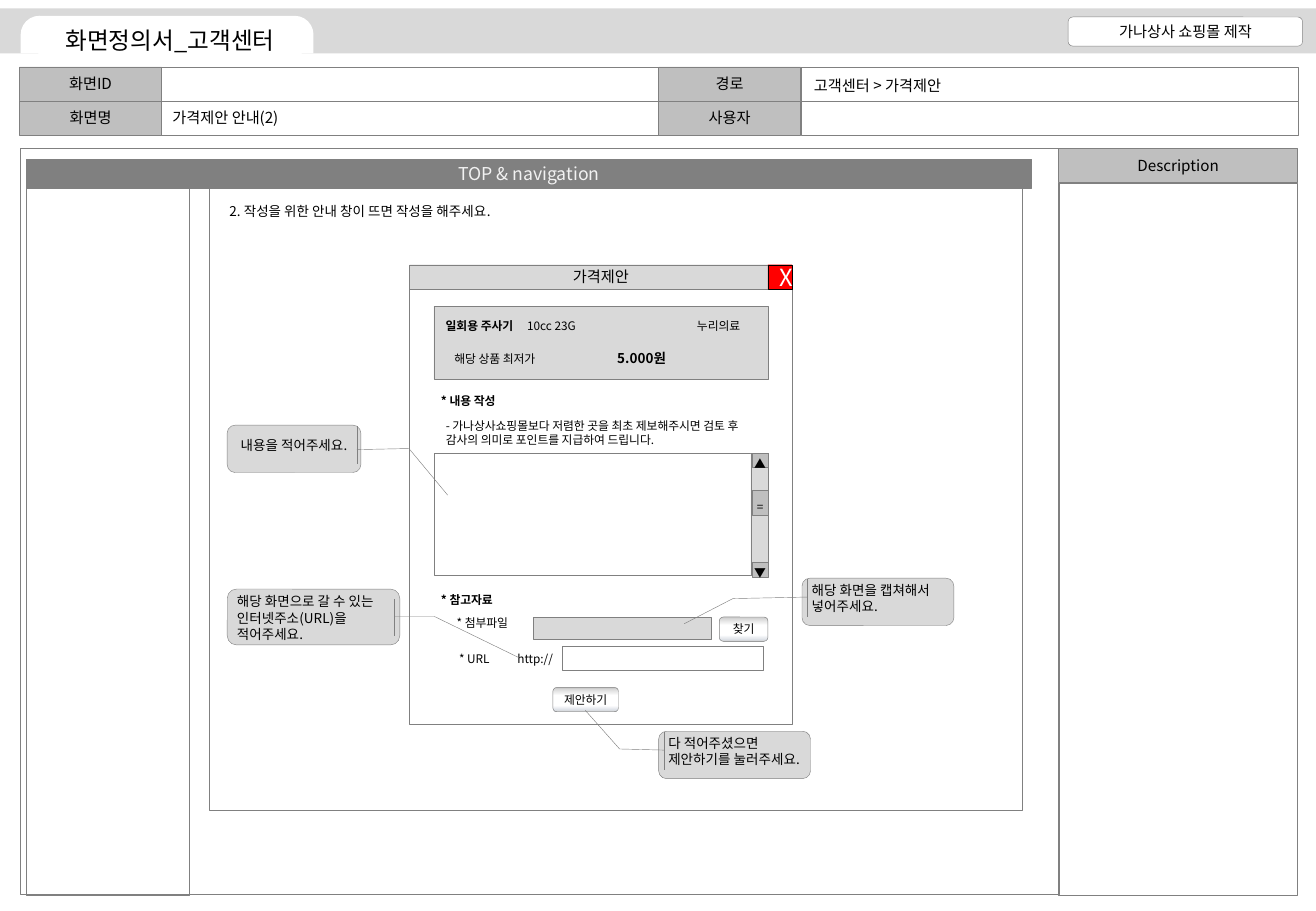
from dataclasses import dataclass

from lxml import etree
from pptx import Presentation
from pptx.dml.color import RGBColor
from pptx.enum.shapes import MSO_SHAPE as Shape
from pptx.enum.text import MSO_ANCHOR as Anchor, MSO_AUTO_SIZE as AutoSize, PP_ALIGN as Align
from pptx.oxml.ns import qn
from pptx.util import Inches, Pt


@dataclass(frozen=True)
class Theme:
    font: str = "Noto Sans CJK KR"
    black: str = "000000"
    white: str = "FFFFFF"
    pale: str = "F2F2F2"
    light: str = "D9D9D9"
    medium: str = "BFBFBF"
    dark: str = "808080"
    red: str = "FF0000"
    gloss: tuple = ((0, "BFBFBF"), (8, "D9D9D9"), (34, "FFFFFF"),
                    (74, "FFFFFF"), (93, "DDE1E7"), (100, "CCCCCC"))
    hairline: float = 0.25
    tiny: float = 7
    small: float = 8
    body: float = 9
    banner: float = 10.5
    title: float = 14


class Wireframe:
    def __init__(self, page, theme):
        self.page = page
        self.theme = theme

    def add_text(self, shape, text, size, color=None, bold=False, align=Align.CENTER,
                 anchor=Anchor.MIDDLE, spacing=None, tight=False, wrap=True):
        frame = shape.text_frame
        frame.word_wrap = wrap
        frame.vertical_anchor = anchor
        if tight:
            frame.margin_left = frame.margin_right = Inches(0)
            frame.margin_top = frame.margin_bottom = Inches(0)
        para = frame.paragraphs[0]
        para.alignment = align
        if spacing:
            para.line_spacing = spacing
        span = para.add_run()
        span.text = text
        span.font.size = Pt(size)
        span.font.bold = bold
        span.font.name = self.theme.font
        span.font.color.rgb = RGBColor.from_string(color or self.theme.black)
        east_asian = etree.SubElement(span.font._element, qn("a:ea"))
        east_asian.set("typeface", self.theme.font)

    def box(self, place, fill=None, line=Theme.dark, kind=Shape.RECTANGLE, adjust=()):
        shape = self.page.shapes.add_shape(kind, *map(Inches, place))
        shape.shadow.inherit = False
        for index, value in enumerate(adjust):
            shape.adjustments[index] = value
        if fill:
            shape.fill.solid()
            shape.fill.fore_color.rgb = RGBColor.from_string(fill)
        else:
            shape.fill.background()
        if line:
            shape.line.color.rgb = RGBColor.from_string(line)
            shape.line.width = Pt(self.theme.hairline)
        else:
            shape.line.fill.background()
        return shape

    def label(self, place, text, size=Theme.tiny, align=Align.LEFT, bold=False,
              anchor=Anchor.MIDDLE, wrap=True):
        shape = self.page.shapes.add_textbox(*map(Inches, place))
        self.add_text(shape, text, size, bold=bold, align=align, anchor=anchor, wrap=wrap)
        if not wrap:
            shape.text_frame.auto_size = AutoSize.SHAPE_TO_FIT_TEXT

    def heading(self, place, text):
        self.add_text(self.box(place, self.theme.medium), text, self.theme.body)

    def button(self, place, text):
        shape = self.box(place, kind=Shape.ROUNDED_RECTANGLE)
        shape.fill.gradient()
        shape.fill.gradient_angle = 270
        stops = shape._element.spPr.find(qn("a:gradFill")).find(qn("a:gsLst"))
        for stop in list(stops):
            stops.remove(stop)
        for position, color in self.theme.gloss:
            stop = etree.SubElement(stops, qn("a:gs"), pos=str(position * 1000))
            etree.SubElement(stop, qn("a:srgbClr"), val=color)
        self.add_text(shape, text, self.theme.tiny, tight=True)

    def callout(self, back, front, leader, text, align=Align.LEFT):
        self.box(back, self.theme.light, kind=Shape.ROUNDED_RECTANGLE)
        shape = self.box(front, kind=Shape.LINE_CALLOUT_2_ACCENT_BAR, adjust=leader)
        self.add_text(shape, text, self.theme.small, align=align, tight=True)


def draw_frame(wire):
    theme = wire.theme
    names = (("화면ID", "경로"), ("화면명", "사용자"))
    for row, pair in enumerate(names):
        for column, name in enumerate(pair):
            left, top = 0.16 + 5.26 * column, 0.55 + 0.28 * row
            wire.heading((left, top, 1.17, 0.28), name)
            wire.box((left + 1.17, top, 4.09, 0.28))
    wire.box((0.17, 1.22, 8.55, 6.14))
    wire.heading((8.71, 1.22, 1.97, 0.28), "Description")
    wire.box((8.71, 1.51, 1.97, 5.86))

    wire.box((0, 0.07, 10.83, 0.37), theme.light, None)
    wire.box((0.17, 0.13, 2.41, 0.31), theme.white, None,
             Shape.ROUND_2_SAME_RECTANGLE, (0.5, 0))
    wire.box((0.22, 1.55, 1.34, 5.82))
    banner = wire.box((0.22, 1.31, 8.27, 0.24), theme.dark)
    wire.add_text(banner, "TOP & navigation", theme.banner, theme.pale)
    project = wire.box((8.79, 0.14, 1.93, 0.24), theme.white, kind=Shape.ROUNDED_RECTANGLE)
    wire.add_text(project, "가나상사 쇼핑몰 제작", theme.body)
    title = wire.box((0.3, 0.21, 2.2, 0.24), theme.white, None, Shape.ROUNDED_RECTANGLE)
    wire.add_text(title, "화면정의서_고객센터", theme.title)


def draw_popup(wire):
    theme = wire.theme
    wire.box((1.72, 1.55, 6.69, 5.12), theme.white)
    wire.box((3.37, 2.38, 3.15, 3.58), theme.white)
    wire.add_text(wire.box((3.37, 2.18, 3.15, 0.2), theme.light), "가격제안", theme.body)
    close = wire.box((6.32, 2.18, 0.2, 0.2), theme.red, theme.black)
    wire.add_text(close, "X", theme.title, theme.white)

    wire.box((3.57, 2.52, 2.75, 0.6), theme.light)
    wire.label((5.45, 2.58, 0.74, 0.2), "누리의료", align=Align.RIGHT)
    wire.label((3.57, 2.58, 0.87, 0.2), "일회용 주사기", bold=True)
    wire.label((4.24, 2.58, 0.74, 0.2), "10cc 23G")
    wire.label((4.84, 2.85, 0.74, 0.2), "5.000원", theme.small, Align.RIGHT, True)
    wire.label((3.64, 2.85, 1.01, 0.2), "해당 상품 최저가")

    wire.box((3.57, 3.73, 2.75, 1.01))
    wire.label((3.53, 3.2, 1.01, 0.2), "* 내용 작성", bold=True)
    wire.label((3.57, 3.4, 2.75, 0.34),
               "- 가나상사쇼핑몰보다 저렴한 곳을 최초 제보해주시면 검토 후 감사의 의미로 포인트를 지급하여 드립니다.",
               anchor=Anchor.TOP)
    wire.box((4.39, 5.08, 1.46, 0.18), theme.light)
    wire.label((3.53, 4.84, 1.01, 0.2), "* 참고자료", bold=True)
    wire.label((3.66, 5.03, 1.01, 0.2), "* 첨부파일")
    wire.button((5.92, 5.08, 0.4, 0.2), "찾기")
    wire.box((4.63, 5.32, 1.65, 0.2))
    wire.label((3.68, 5.32, 1.01, 0.2), "* URL")
    wire.label((4.16, 5.33, 0.75, 0.18), "http://")
    wire.button((4.55, 5.66, 0.54, 0.2), "제안하기")

    wire.box((6.18, 3.73, 0.14, 1.01), theme.light)
    for top, height, symbol, tight in ((4.63, 0.12, "▼", True), (3.73, 0.12, "▲", True),
                                       (4.04, 0.2, "=", False)):
        part = wire.box((6.19, top, 0.13, height), theme.medium)
        wire.add_text(part, symbol, theme.tiny, spacing=1.5, tight=tight)


def draw_notes(wire):
    theme = wire.theme
    wire.label((1.32, 0.84, 1.15, 0.25), "가격제안 안내(2)", theme.body,
               anchor=Anchor.TOP, wrap=False)
    wire.label((6.6, 0.58, 1.39, 0.25), "고객센터 > 가격제안", theme.body,
               anchor=Anchor.TOP, wrap=False)
    wire.label((1.79, 1.62, 5.42, 0.24), "2. 작성을 위한 안내 창이 뜨면 작성을 해주세요.",
               theme.small, anchor=Anchor.TOP)
    wire.callout((1.87, 3.5, 1.1, 0.39), (1.87, 3.51, 1.1, 0.31),
                 (0.62, 0.97, 0.59, 1.36, 1.83, 1.65), "내용을 적어주세요.", Align.CENTER)
    wire.callout((6.6, 4.76, 1.25, 0.39), (6.68, 4.77, 1.18, 0.31),
                 (0.47, -0.03, 0.51, -0.55, 1.18, -0.89), "해당 화면을 캡쳐해서 넣어주세요.")
    wire.callout((1.87, 4.85, 1.42, 0.46), (1.95, 4.93, 1.26, 0.31),
                 (0.47, 1.03, 0.47, 1.29, 1.56, 1.84),
                 "해당 화면으로 갈 수 있는 인터넷주소(URL)을 적어주세요.")
    wire.callout((5.42, 6.02, 1.25, 0.39), (5.5, 6.03, 1.18, 0.31),
                 (0.47, -0.03, 0.44, -0.34, -0.59, -0.58),
                 "다 적어주셨으면 제안하기를 눌러주세요.")


def main():
    deck = Presentation()
    deck.slide_width, deck.slide_height = Inches(10.83), Inches(7.5)
    wire = Wireframe(deck.slides.add_slide(deck.slide_layouts[6]), Theme())
    draw_frame(wire)
    draw_popup(wire)
    draw_notes(wire)
    deck.save("out.pptx")


if __name__ == "__main__":
    main()
